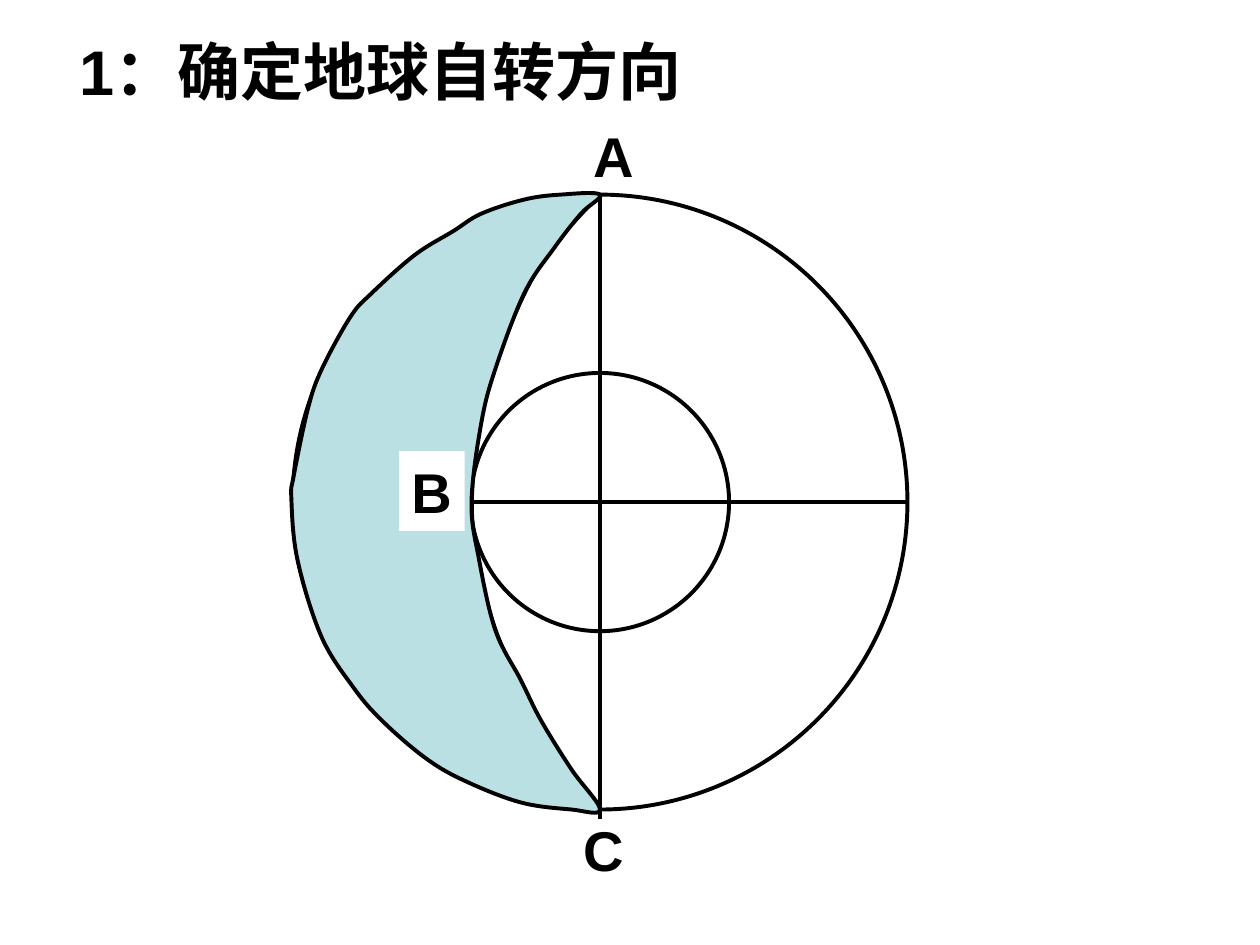
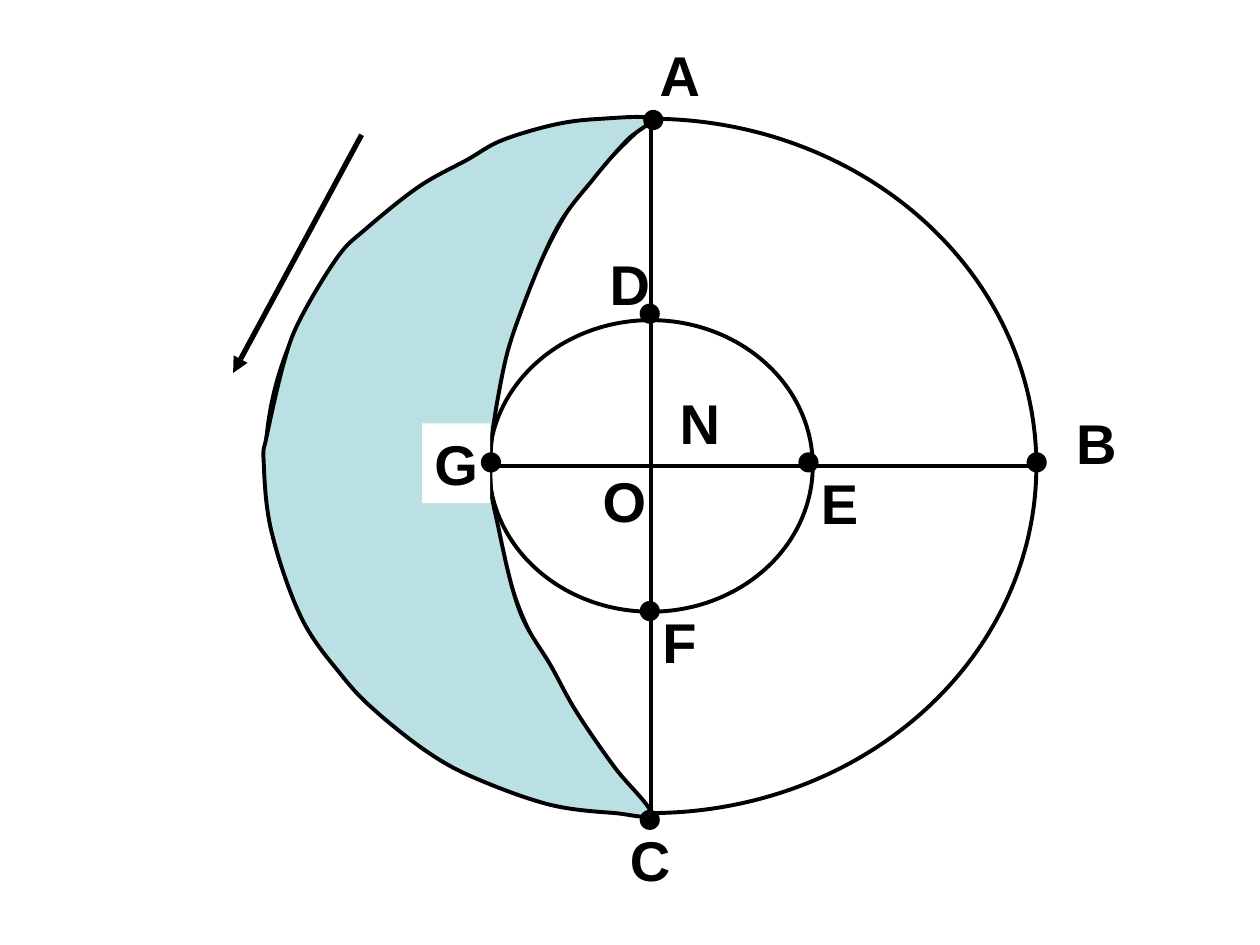
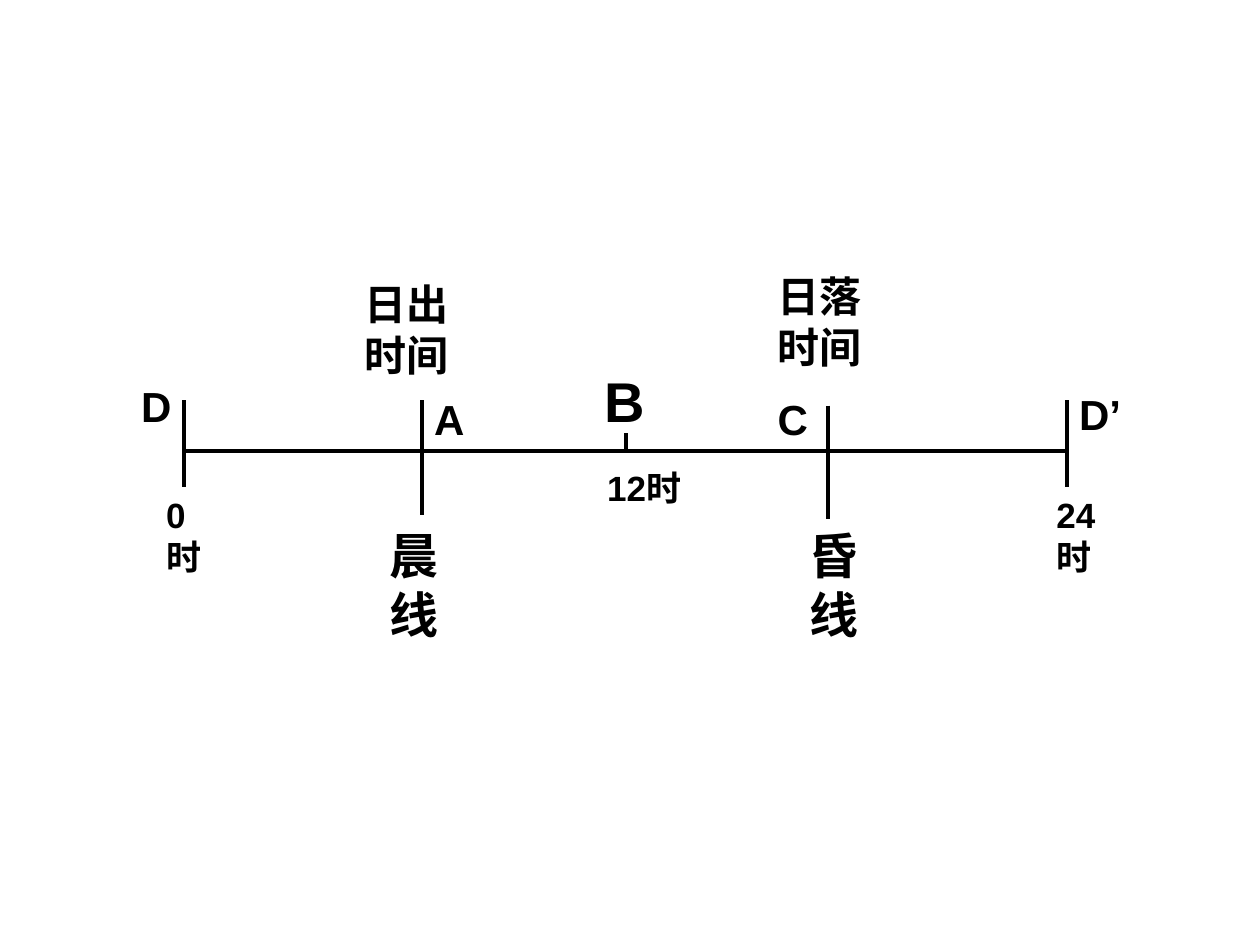
from dataclasses import dataclass

from lxml.etree import SubElement
from pptx import Presentation
from pptx.dml.color import RGBColor
from pptx.enum.shapes import MSO_CONNECTOR as LINE, MSO_SHAPE as SHAPE
from pptx.enum.text import MSO_AUTO_SIZE as AUTO, MSO_ANCHOR as ANCHOR
from pptx.oxml.ns import qn
from pptx.util import Inches, Pt

COLS, ROWS = 100, 75

# Outline nodes in percent of the globe's width and height.
NIGHT = [
    (50, 100), (45.3, 93.4), (40.4, 85.5), (37.1, 78.9), (33, 70.9),
    (30.3, 59.2), (29.1, 50), (30.7, 37.1), (33, 28.3), (37.7, 16),
    (42.6, 8.6), (46.9, 3.1), (50, 0), (43.6, 0), (37.7, 0.8),
    (30.7, 3.1), (26.2, 5.9), (19.9, 9.8), (12.9, 16), (9.4, 19.9),
    (4.7, 28.5), (2.5, 34.8), (0.2, 45.7), (-0.2, 49.4), (0.8, 59.4),
    (4.7, 71.9), (10, 80.3), (14.5, 85.5), (21.3, 91.4), (27.5, 95.1),
    (36.9, 98.8), (45.3, 100),
]
TERMINATOR = [(50, 0), (39.5, 12.9), (31.6, 32.8), (29.3, 51.8),
              (32.4, 68.6), (39.1, 83.4), (49.6, 100.4)]


@dataclass(frozen=True)
class Theme:
    font: str = "Arial"
    ink: RGBColor = RGBColor(0, 0, 0)
    paper: RGBColor = RGBColor(255, 255, 255)
    night: RGBColor = RGBColor(0xBB, 0xE0, 0xE3)
    title: int = 36
    point: int = 32
    dusk: int = 28
    note: int = 24
    hour: int = 20
    thin: float = 1.5
    stroke: float = 2.25
    arrow: float = 3


def bezier_points(nodes, closed):
    """Return a start, then two handles and an end for each smooth segment."""
    if closed:
        ring = [nodes[-1], *nodes, *nodes[:2]]
    else:
        ring = [nodes[0], *nodes, nodes[-1]]
    points = [nodes[0]]
    for a, b, c, d in zip(ring, ring[1:], ring[2:], ring[3:]):
        points.append(tuple(q + (r - p) / 6 for p, q, r in zip(a, b, c)))
        points.append(tuple(r - (s - q) / 6 for q, r, s in zip(b, c, d)))
        points.append(c)
    return points


class Deck:
    """Draws on the current slide; lengths are columns and rows."""

    def __init__(self, theme):
        self.theme = theme
        self.prs = Presentation()
        self.prs.slide_width, self.prs.slide_height = Inches(10), Inches(7.5)
        self.shapes = None

    def x(self, cols):
        return round(self.prs.slide_width * cols / COLS)

    def y(self, rows):
        return round(self.prs.slide_height * rows / ROWS)

    def slide(self):
        s = self.prs.slides.add_slide(self.prs.slide_layouts[6])
        s.background.fill.solid()
        s.background.fill.fore_color.rgb = self.theme.paper
        self.shapes = s.shapes

    def paint(self, sp, fill=None, width=None):
        sp.shadow.inherit = False
        if fill is None:
            sp.fill.background()
        else:
            sp.fill.solid()
            sp.fill.fore_color.rgb = fill
        if width is None:
            sp.line.fill.background()
        else:
            sp.line.color.rgb = self.theme.ink
            sp.line.width = Pt(width)

    def ellipse(self, cx, cy, w, h, **style):
        sp = self.shapes.add_shape(SHAPE.OVAL, self.x(cx - w / 2),
                                   self.y(cy - h / 2), self.x(w), self.y(h))
        self.paint(sp, **style)

    def dot(self, cx, cy):
        self.ellipse(cx, cy, 1.6, 1.6, fill=self.theme.ink)

    def line(self, x1, y1, x2, y2, width=None, arrow=False):
        c = self.shapes.add_connector(LINE.STRAIGHT, self.x(x1), self.y(y1),
                                      self.x(x2), self.y(y2))
        c.line.color.rgb = self.theme.ink
        c.line.width = Pt(width or self.theme.stroke)
        spPr = c.element.spPr
        if arrow:
            SubElement(spPr.find(qn("a:ln")), qn("a:tailEnd"), type="triangle")
        SubElement(spPr, qn("a:effectLst"))

    def curve(self, nodes, closed, **style):
        """Draw a freeform, then turn each three of its lines into a curve."""
        points = [(self.x(px), self.y(py))
                  for px, py in bezier_points(nodes, closed)]
        fb = self.shapes.build_freeform(*points[0], scale=1.0)
        fb.add_line_segments(points[1:], close=closed)
        sp = fb.convert_to_shape()
        lines = list(sp.element.iter(qn("a:lnTo")))
        for first, second, third in zip(lines[::3], lines[1::3], lines[2::3]):
            outline = first.getparent()
            bezier = outline.makeelement(qn("a:cubicBezTo"), {})
            first.addprevious(bezier)
            for ln in (first, second, third):
                bezier.append(ln[0])
                outline.remove(ln)
        self.paint(sp, **style)

    def text(self, text, left, top, width, size, lines=1, wrap=True, fill=None):
        height = Pt(size * 1.2 * lines) + Inches(0.1)
        sp = self.shapes.add_textbox(self.x(left), self.y(top),
                                     self.x(width), height)
        if fill is not None:
            self.paint(sp, fill=fill)
        tf = sp.text_frame
        tf.text = text
        tf.word_wrap = wrap
        tf.auto_size = AUTO.SHAPE_TO_FIT_TEXT
        tf.vertical_anchor = ANCHOR.TOP
        font = tf.paragraphs[0].runs[0].font
        font.name, font.size, font.bold = self.theme.font, Pt(size), True
        font.color.rgb = self.theme.ink

    def point_label(self, text, left, top, width=5.2, fill=None):
        self.text(text, left, top, width, self.theme.point, wrap=False, fill=fill)

    def globe(self, left, top, w, h):
        """Group a polar view: outer and inner circles, axes and night side."""
        def place(nodes):
            return [(left + w * u / 100, top + h * v / 100) for u, v in nodes]

        page, self.shapes = self.shapes, self.shapes.add_group_shape().shapes
        t = self.theme
        cx, cy = left + w / 2, top + h / 2
        self.ellipse(cx, cy, w, h, width=t.stroke)
        self.line(left, cy, left + w, cy)
        self.line(cx, top, cx, top + h * 1.016)
        self.ellipse(cx, cy, w * 0.42, h * 0.42, width=t.stroke)
        self.curve(place(TERMINATOR), False, width=t.thin)
        self.curve(place(NIGHT), True, fill=t.night, width=t.stroke)
        self.shapes = page


def rotation_slide(d):
    d.slide()
    d.text("1：确定地球自转方向", 5.3, 2.1, 51, d.theme.title, wrap=False)
    d.globe(23.22, 15.45, 48.8, 48.8)
    d.point_label("A", 46.1, 9.15)
    d.point_label("B", 31.67, 35.8, fill=d.theme.paper)
    d.point_label("C", 45.3, 64.2)


def points_slide(d):
    d.slide()
    d.globe(21.05, 9.43, 61.2, 55.1)
    d.line(28.7, 10.7, 18.5, 29.6, width=d.theme.arrow, arrow=True)
    for name, left, top, width in [
            ("A", 51.37, 2.75, 5.2), ("B", 84.42, 31.9, 5.2),
            ("C", 49, 65, 5.2), ("N", 52.95, 30.35, 5.2),
            ("D", 47.4, 19.3, 5.2), ("E", 64.17, 36.7, 4.9),
            ("F", 51.6, 47.75, 4.7)]:
        d.point_label(name, left, top, width)
    d.point_label("G", 33.5, 33.6, 5.4, fill=d.theme.paper)
    equator, meridian = 36.7, 51.57
    d.dot(51.85, 9.53)
    for cx in (82.28, 38.97, 64.17):
        d.dot(cx, equator)
    for cy in (48.5, 24.9, 65.07):
        d.dot(meridian, cy)
    d.text("O", 46.85, 36.5, 3.9, d.theme.point)


def day_slide(d):
    t = d.theme
    d.slide()
    midnight, sunrise, noon, sunset, next_midnight = 14.58, 33.46, 49.7, 65.74, 84.66
    axis = 35.78
    d.line(midnight, axis, next_midnight, axis)
    for cx, top, bottom in [(midnight, 31.75, 38.66), (sunrise, 31.75, 40.87),
                            (noon, 34.4, axis), (sunset, 32.2, 41.2),
                            (next_midnight, 31.75, 38.66)]:
        d.line(cx, top, cx, bottom)
    for text, left, top, width, size, lines in [
            ("D", 10.22, 29.7, 6.3, t.note, 1),
            ("0时", 12.2, 38.7, 4.3, t.hour, 2),
            ("日出时间", 27.95, 21.65, 11, t.note, 2),
            ("A", 33.46, 30.75, 5.5, t.note, 1),
            ("晨线", 29.9, 41.2, 7.1, t.dusk, 2),
            ("B", 46.97, 28.6, 5.5, t.point, 1),
            ("12时", 47.2, 36.5, 10.5, t.hour, 1),
            ("日落时间", 60.7, 21, 9.7, t.note, 2),
            ("C", 60.74, 30.75, 5, t.note, 1),
            ("昏线", 63.25, 41.2, 5.7, t.dusk, 2),
            ("D’", 84.66, 30.35, 6.3, t.note, 1),
            ("24时", 82.85, 38.7, 5.5, t.hour, 2)]:
        d.text(text, left, top, width, size, lines)


def main():
    d = Deck(Theme())
    for build in (rotation_slide, points_slide, day_slide):
        build(d)
    d.prs.save("out.pptx")


if __name__ == "__main__":
    main()
